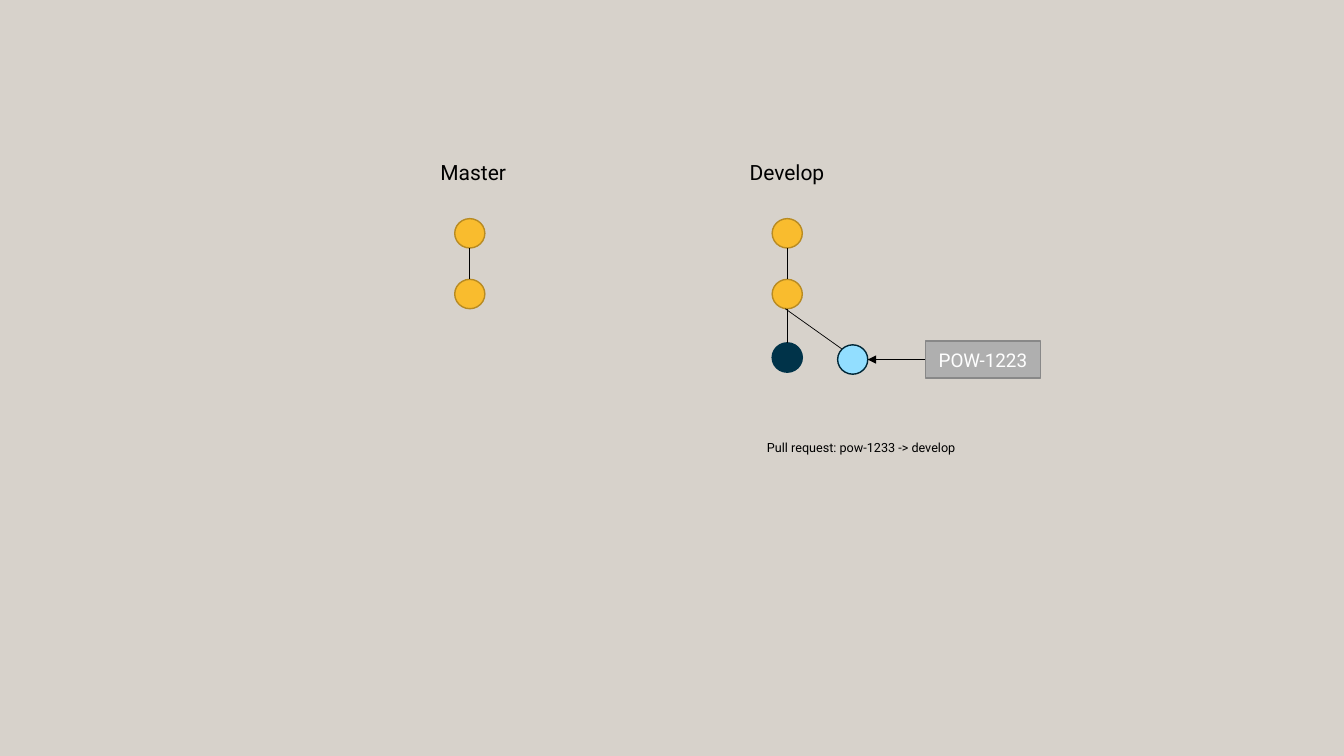
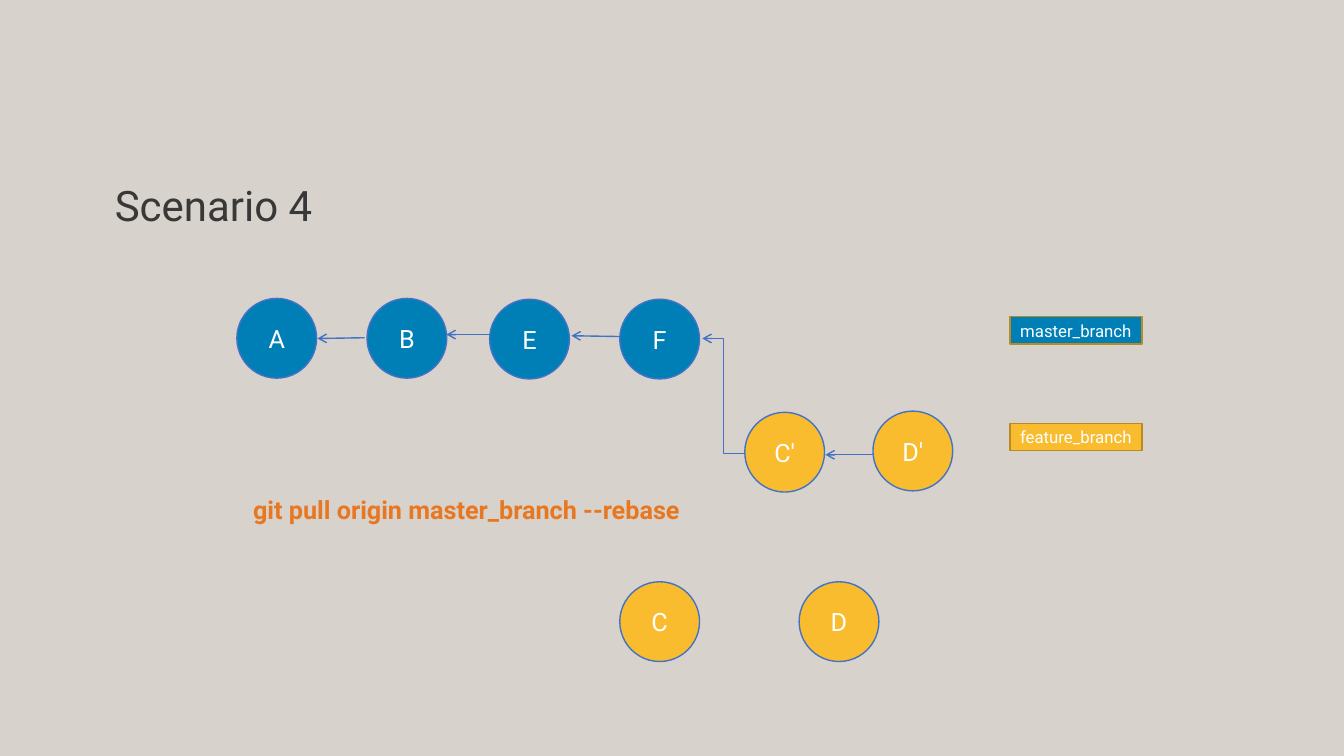
from dataclasses import dataclass
from typing import Optional

from lxml import etree
from pptx import Presentation
from pptx.dml.color import RGBColor
from pptx.enum import shapes, text
from pptx.oxml.ns import qn
from pptx.util import Cm, Pt

FONT = "Roboto"
SAND = RGBColor(0xD7, 0xD2, 0xCB)
BLACK = RGBColor(0x00, 0x00, 0x00)
WHITE = RGBColor(0xFF, 0xFF, 0xFF)
DARK = RGBColor(0x38, 0x38, 0x38)
GOLD = RGBColor(0xF9, 0xBC, 0x2E)
BRONZE = RGBColor(0xB8, 0x8B, 0x22)
SKY = RGBColor(0x92, 0xDE, 0xFF)
NAVY = RGBColor(0x00, 0x33, 0x49)
INK = RGBColor(0x00, 0x26, 0x36)
GREY = RGBColor(0xAF, 0xAF, 0xAF)
STEEL = RGBColor(0x88, 0x88, 0x88)
BLUE = RGBColor(0x00, 0x7F, 0xB6)
EDGE = RGBColor(0x44, 0x72, 0xC4)
ORANGE = RGBColor(0xE8, 0x77, 0x22)

OVAL = shapes.MSO_SHAPE.OVAL
ROUND = shapes.MSO_SHAPE.FLOWCHART_CONNECTOR
RECT = shapes.MSO_SHAPE.RECTANGLE
STRAIGHT = shapes.MSO_CONNECTOR.STRAIGHT
ELBOW = shapes.MSO_CONNECTOR.ELBOW

DOT_W, DOT_H = 0.76, 0.74
RING = 2.01
MASTER_X, DEVELOP_X = 11.46, 19.46
ROWS = (5.51, 7.04)


@dataclass
class Node:
    """A filled shape; lengths in centimetres, text size in points."""
    left: float
    top: float
    wide: float
    high: float
    fill: RGBColor
    edge: RGBColor
    label: str = ""
    size: float = 18
    form: shapes.MSO_SHAPE = ROUND


@dataclass
class Link:
    """A line from start to end, with an optional arrowhead at its end."""
    start: tuple[float, float]
    end: tuple[float, float]
    color: RGBColor = EDGE
    width: float = 1
    head: Optional[str] = "arrow"
    form: shapes.MSO_CONNECTOR = STRAIGHT


@dataclass
class Note:
    left: float
    top: float
    wide: float
    high: float
    words: str
    size: float
    color: RGBColor = BLACK
    bold: bool = False
    pad: float = 0.25


def add_run(para, words: str, size: float, color: RGBColor, bold: bool = False) -> None:
    run = para.add_run()
    run.text = words
    font = run.font
    font.name, font.size, font.bold = FONT, Pt(size), bold
    font.color.rgb = color


def set_pad(frame, side: float, end: float) -> None:
    frame.margin_left = frame.margin_right = Cm(side)
    frame.margin_top = frame.margin_bottom = Cm(end)


def add_node(slide, node: Node):
    shape = slide.shapes.add_shape(
        node.form, Cm(node.left), Cm(node.top), Cm(node.wide), Cm(node.high))
    shape.shadow.inherit = False
    shape.fill.solid()
    shape.fill.fore_color.rgb = node.fill
    shape.line.color.rgb = node.edge
    shape.line.width = Pt(1)
    if node.label:
        frame = shape.text_frame
        frame.word_wrap = True
        frame.vertical_anchor = text.MSO_ANCHOR.MIDDLE
        set_pad(frame, 0.18, 0.1)
        para = frame.paragraphs[0]
        para.alignment = text.PP_ALIGN.CENTER
        add_run(para, node.label, node.size, WHITE)
    return shape


def add_link(slide, link: Link):
    line = slide.shapes.add_connector(
        link.form, *(Cm(n) for n in link.start + link.end))
    line.line.color.rgb = link.color
    line.line.width = Pt(link.width)
    props = line.element.spPr
    if link.head:
        etree.SubElement(props.find(qn("a:ln")), qn("a:tailEnd"), type=link.head)
    etree.SubElement(props, qn("a:effectLst"))
    return line


def add_note(slide, note: Note) -> None:
    box = slide.shapes.add_textbox(
        Cm(note.left), Cm(note.top), Cm(note.wide), Cm(note.high))
    frame = box.text_frame
    frame.word_wrap = True
    frame.auto_size = text.MSO_AUTO_SIZE.SHAPE_TO_FIT_TEXT
    set_pad(frame, note.pad, note.pad / 2)
    add_run(frame.paragraphs[0], note.words, note.size, note.color, note.bold)


def set_title(slide, words: str) -> None:
    title = slide.shapes.title
    title.left, title.top = Cm(2.64), Cm(1.04)
    title.width, title.height = Cm(28.6), Cm(4.9)
    frame = title.text_frame
    frame.auto_size = text.MSO_AUTO_SIZE.NONE
    frame.vertical_anchor = text.MSO_ANCHOR.BOTTOM
    para = frame.paragraphs[0]
    para.alignment = text.PP_ALIGN.LEFT
    para.line_spacing = 0.9
    add_run(para, words, 30, DARK)


def add_dot(slide, left: float, top: float, fill: RGBColor, edge: RGBColor) -> None:
    add_node(slide, Node(left, top, DOT_W, DOT_H, fill, edge, form=OVAL))


def add_stem(slide, start: tuple[float, float], end: tuple[float, float],
             head: Optional[str] = None):
    return add_link(slide, Link(start, end, BLACK, 0.5, head))


def draw_pull(deck) -> None:
    slide = deck.slides.add_slide(deck.slide_layouts[6])
    for note in (Note(10.85, 3.89, 2.72, 0.89, "Master", 15),
                 Note(18.64, 3.89, 2.92, 0.89, "Develop", 15),
                 Note(19.08, 10.97, 5.36, 0.64,
                      "Pull request: pow-1233 -> develop", 9)):
        add_note(slide, note)

    for left in (MASTER_X, DEVELOP_X):
        for top in ROWS:
            add_dot(slide, left, top, GOLD, BRONZE)
        mid = left + DOT_W / 2
        add_stem(slide, (mid, ROWS[0] + DOT_H), (mid, ROWS[1]))

    mid, base = DEVELOP_X + DOT_W / 2, ROWS[1] + DOT_H
    add_dot(slide, DEVELOP_X, 8.64, NAVY, NAVY)
    add_stem(slide, (mid, base), (mid, 8.64))
    add_dot(slide, 21.11, 8.69, SKY, INK)
    add_stem(slide, (19.79, base), (21.21, 8.79))

    tag = add_node(slide, Node(23.32, 8.59, 2.9, 0.94, GREY, STEEL,
                               "POW-1223", 13.5, RECT))
    arrow = add_stem(slide, (23.32, 9.06), (21.87, 9.06), "triangle")
    arrow.begin_connect(tag, 1)


def draw_rebase(deck) -> None:
    slide = deck.slides.add_slide(deck.slide_layouts[5])
    set_title(slide, "Scenario 4")

    for label, left, top, fill in (
            ("A", 5.97, 7.52, BLUE), ("B", 9.25, 7.52, BLUE),
            ("E", 12.34, 7.54, BLUE), ("F", 15.62, 7.54, BLUE),
            ("C'", 18.77, 10.39, GOLD), ("D'", 22, 10.36, GOLD),
            ("C", 15.62, 14.66, GOLD), ("D", 20.14, 14.66, GOLD)):
        add_node(slide, Node(left, top, RING, RING, fill, EDGE, label))

    for label, top, fill in (("master_branch", 7.98, BLUE),
                             ("feature_branch", 10.67, GOLD)):
        add_node(slide, Node(25.45, top, 3.33, 0.69, fill, BRONZE, label, 12, RECT))

    for link in (Link((9.19, 8.51), (8, 8.53)),
                 Link((12.32, 8.43), (11.25, 8.43)),
                 Link((15.62, 8.48), (14.4, 8.46)),
                 Link((22.02, 11.46), (20.8, 11.46)),
                 Link((18.77, 11.43), (17.7, 8.53), form=ELBOW)):
        add_link(slide, link)

    add_note(slide, Note(6.2, 12.37, 11.84, 0.97,
                         "git pull origin master_branch --rebase",
                         18, ORANGE, True, 0.18))


def main() -> None:
    deck = Presentation()
    deck.slide_width, deck.slide_height = Cm(33.87), Cm(19.05)
    back = deck.slide_master.background.fill
    back.solid()
    back.fore_color.rgb = SAND
    draw_pull(deck)
    draw_rebase(deck)
    deck.save("out.pptx")


if __name__ == "__main__":
    main()
